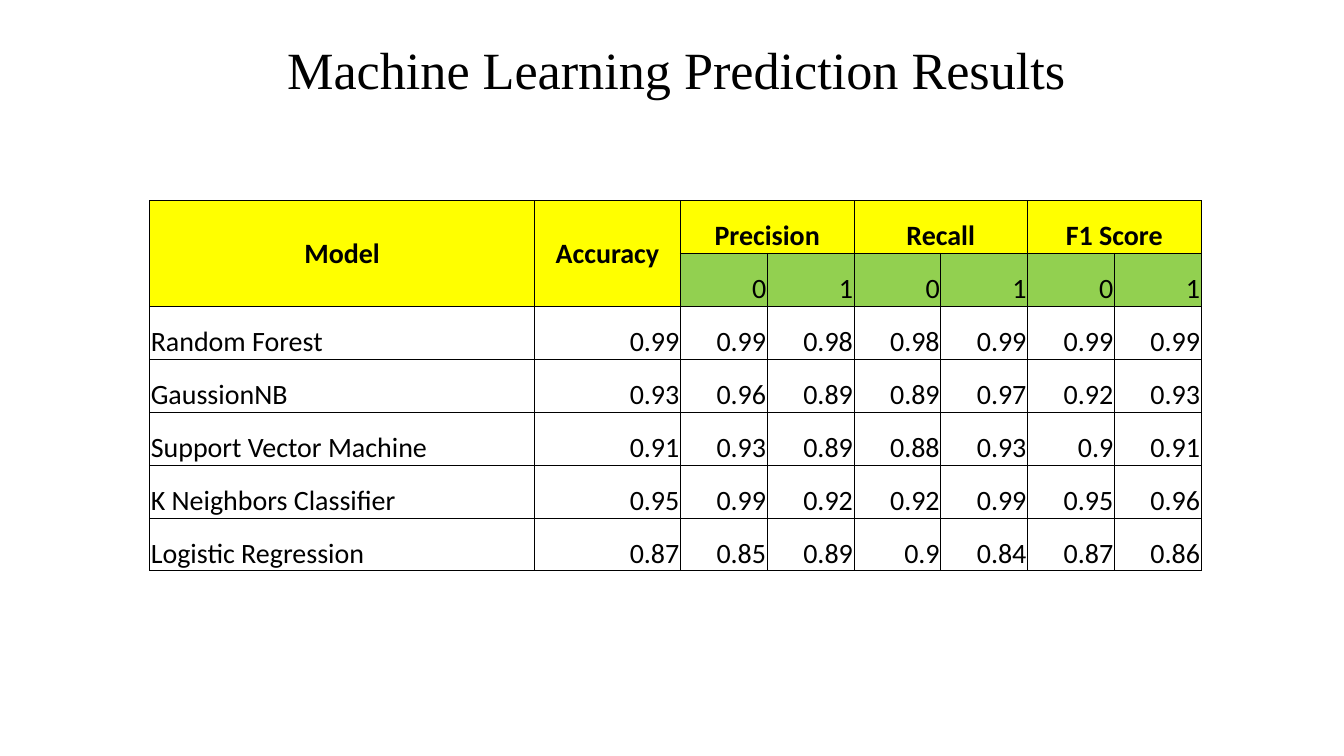
from dataclasses import dataclass

from lxml import etree
from pptx import Presentation
from pptx.dml.color import RGBColor
from pptx.enum import text
from pptx.oxml import ns
from pptx.util import Cm, Pt

BLACK = RGBColor(0x00, 0x00, 0x00)
WHITE = RGBColor(0xFF, 0xFF, 0xFF)
YELLOW = RGBColor(0xFF, 0xFF, 0x00)
GREEN = RGBColor(0x92, 0xD0, 0x50)
LEFT, CENTER, RIGHT = text.PP_ALIGN.LEFT, text.PP_ALIGN.CENTER, text.PP_ALIGN.RIGHT
MIDDLE, BOTTOM = text.MSO_ANCHOR.MIDDLE, text.MSO_ANCHOR.BOTTOM


@dataclass(frozen=True)
class CellStyle:
    fill: RGBColor
    align: text.PP_ALIGN
    anchor: text.MSO_ANCHOR = BOTTOM
    bold: bool = False


@dataclass(frozen=True)
class Result:
    model: str
    scores: tuple[str, ...]


MAIN_HEAD = CellStyle(YELLOW, CENTER, MIDDLE, True)
METRIC_HEAD = CellStyle(YELLOW, CENTER, BOTTOM, True)
CLASS_HEAD = CellStyle(GREEN, RIGHT)
MODEL_NAME = CellStyle(WHITE, LEFT)
SCORE = CellStyle(WHITE, RIGHT)

MAIN_HEADS = ("Model", "Accuracy")
METRICS = ("Precision", "Recall", "F1 Score")
CLASSES = ("0", "1")
RESULTS = (
    Result("Random Forest", ("0.99", "0.99", "0.98", "0.98", "0.99", "0.99", "0.99")),
    Result("GaussionNB", ("0.93", "0.96", "0.89", "0.89", "0.97", "0.92", "0.93")),
    Result("Support Vector Machine", ("0.91", "0.93", "0.89", "0.88", "0.93", "0.9", "0.91")),
    Result("K Neighbors Classifier", ("0.95", "0.99", "0.92", "0.92", "0.99", "0.95", "0.96")),
    Result("Logistic Regression", ("0.87", "0.85", "0.89", "0.9", "0.84", "0.87", "0.86")),
)
HEAD_ROWS = 2
COLUMN_WIDTHS = (7.27, 2.76) + (1.64,) * (len(METRICS) * len(CLASSES))
ROW_HEIGHT = 1.0


def add_run(paragraph, words: str, font: str, size: float, bold: bool = False) -> None:
    run = paragraph.add_run()
    run.text = words
    run.font.name = font
    run.font.size = Pt(size)
    run.font.bold = bold
    run.font.color.rgb = BLACK


def draw_borders(cell) -> None:
    """Put a thin black line on each side, ahead of the cell's fill."""
    properties = cell._tc.get_or_add_tcPr()
    for place, side in enumerate(("a:lnL", "a:lnR", "a:lnT", "a:lnB")):
        line = etree.Element(ns.qn(side), w=str(Pt(0.5)))
        solid = etree.SubElement(line, ns.qn("a:solidFill"))
        etree.SubElement(solid, ns.qn("a:srgbClr"), val=str(BLACK))
        properties.insert(place, line)


def write_cell(cell, words: str, style: CellStyle) -> None:
    cell.fill.solid()
    cell.fill.fore_color.rgb = style.fill
    cell.vertical_anchor = style.anchor
    paragraph = cell.text_frame.paragraphs[0]
    paragraph.alignment = style.align
    add_run(paragraph, words, "Calibri", 15, style.bold)


presentation = Presentation()
presentation.slide_width, presentation.slide_height = Cm(25.4), Cm(14.29)
slide = presentation.slides.add_slide(presentation.slide_layouts[6])

# Title
title = slide.shapes.add_textbox(Cm(1.07), Cm(0.3), Cm(23.67), Cm(1.6)).text_frame
title.word_wrap = True
title.margin_top, title.margin_bottom = Cm(0.4), Cm(0)
title.paragraphs[0].alignment = CENTER
add_run(title.paragraphs[0], "Machine Learning Prediction Results ", "Times New Roman", 28)

# Table grid
row_count = HEAD_ROWS + len(RESULTS)
scores_table = slide.shapes.add_table(
    row_count, len(COLUMN_WIDTHS), Cm(2.83), Cm(3.79),
    Cm(sum(COLUMN_WIDTHS)), Cm(ROW_HEIGHT * row_count),
).table
scores_table.first_row = scores_table.horz_banding = False
for column, width in zip(scores_table.columns, COLUMN_WIDTHS):
    column.width = Cm(width)
for row in scores_table.rows:
    row.height = Cm(ROW_HEIGHT)
for cell in scores_table.iter_cells():
    cell.margin_left = cell.margin_right = cell.margin_top = Cm(0.02)
    cell.margin_bottom = Cm(0)
    draw_borders(cell)

# Header cells
for col, heading in enumerate(MAIN_HEADS):
    scores_table.cell(0, col).merge(scores_table.cell(HEAD_ROWS - 1, col))
    write_cell(scores_table.cell(0, col), heading, MAIN_HEAD)
for group, metric in enumerate(METRICS):
    first = len(MAIN_HEADS) + group * len(CLASSES)
    scores_table.cell(0, first).merge(scores_table.cell(0, first + len(CLASSES) - 1))
    write_cell(scores_table.cell(0, first), metric, METRIC_HEAD)
    for offset, label in enumerate(CLASSES):
        write_cell(scores_table.cell(1, first + offset), label, CLASS_HEAD)

# Results, one model a row
for row_index, result in enumerate(RESULTS, start=HEAD_ROWS):
    write_cell(scores_table.cell(row_index, 0), result.model, MODEL_NAME)
    for col, score in enumerate(result.scores, start=1):
        write_cell(scores_table.cell(row_index, col), score, SCORE)

presentation.save("out.pptx")
